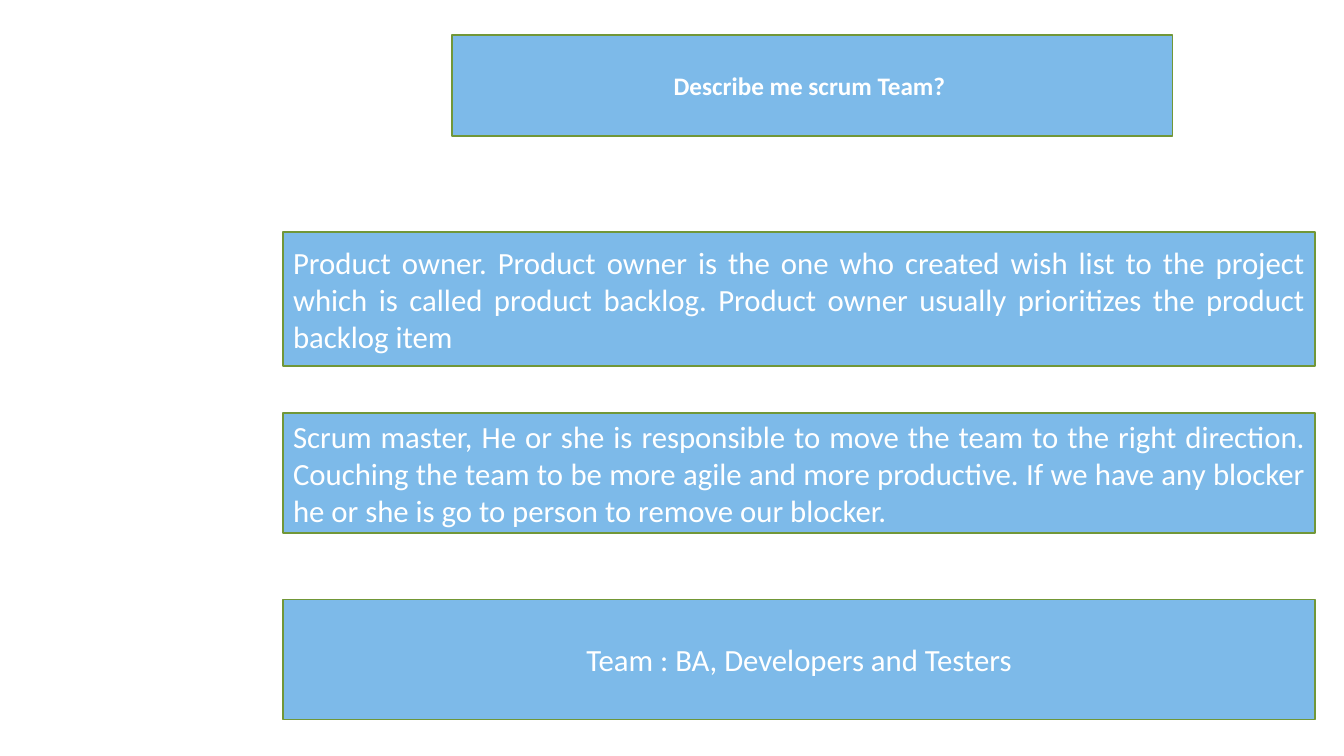
from pptx import Presentation
from pptx.dml.color import RGBColor
from pptx.enum.shapes import MSO_SHAPE
from pptx.enum.text import MSO_ANCHOR, MSO_AUTO_SIZE, PP_ALIGN
from pptx.util import Cm, Pt

RECT = MSO_SHAPE.RECTANGLE
MIDDLE = MSO_ANCHOR.MIDDLE
NO_FIT = MSO_AUTO_SIZE.NONE
CENTER, JUSTIFY = PP_ALIGN.CENTER, PP_ALIGN.JUSTIFY

BLUE = RGBColor(0x7D, 0xBA, 0xE9)
GREEN = RGBColor(0x71, 0x97, 0x38)
WHITE = RGBColor(0xFF, 0xFF, 0xFF)

# Content: the title, then top, height, alignment and text of each role
TITLE = "Describe me scrum Team? "
ROLES = [
    (5.84, 3.38, JUSTIFY,
     "Product owner. Product owner is the one who created wish list to the "
     "project which is called product backlog. Product owner usually "
     "prioritizes the product backlog item"),
    (10.41, 3.02, JUSTIFY,
     "Scrum master, He or she is responsible to move the team to the right "
     "direction. Couching the team to be more agile and more productive. "
     "If we have any blocker he or she is go to person to remove our blocker."),
    (15.11, 3.02, CENTER, "Team : BA, Developers and Testers"),
]
LEFT, WIDTH = 7.14, 26.01


def write(box, text, size=22, bold=False, align=CENTER):
    frame = box.text_frame
    frame.word_wrap = True
    frame.auto_size = NO_FIT
    frame.vertical_anchor = MIDDLE
    frame.margin_left = frame.margin_right = Cm(0.25)
    frame.margin_top = frame.margin_bottom = Cm(0.13)
    para = frame.paragraphs[0]
    para.alignment = align
    run = para.add_run()
    run.text = text
    font = run.font
    font.name, font.size, font.bold = "Calibri", Pt(size), bold
    font.color.rgb = WHITE


def paint(box):
    box.fill.solid()
    box.fill.fore_color.rgb = BLUE
    box.line.color.rgb = GREEN
    box.line.width = Pt(1.25)


deck = Presentation()
deck.slide_width, deck.slide_height = Cm(33.88), Cm(19.05)
slide = deck.slides.add_slide(deck.slide_layouts[5])

# Title
title = slide.shapes.title
title.left, title.top = Cm(11.4), Cm(0.89)
title.width, title.height = Cm(18.16), Cm(2.54)
paint(title)
write(title, TITLE, size=18, bold=True)

# Role boxes
for top, height, align, text in ROLES:
    box = slide.shapes.add_shape(RECT, Cm(LEFT), Cm(top), Cm(WIDTH), Cm(height))
    box.shadow.inherit = False
    paint(box)
    write(box, text, align=align)

deck.save("out.pptx")
